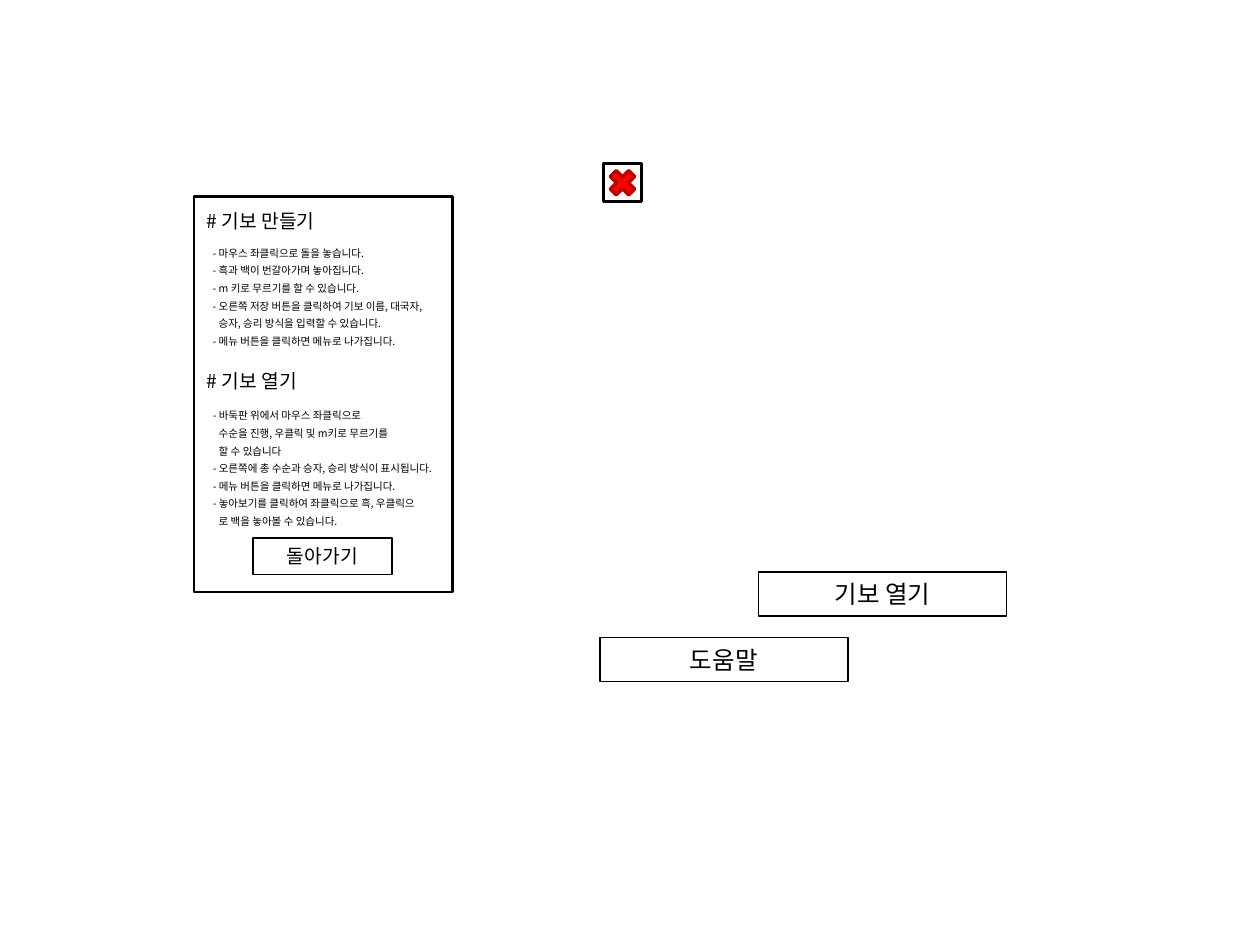
"""Build the help panel and menu buttons of a Go game record program."""
from dataclasses import dataclass

import lxml.etree
import pptx
import pptx.dml.color
import pptx.enum.shapes
import pptx.enum.text
import pptx.oxml.ns
import pptx.util

Pt = pptx.util.Pt
Shapes = pptx.enum.shapes.MSO_SHAPE
Align = pptx.enum.text.PP_ALIGN
BLACK = pptx.dml.color.RGBColor(0x00, 0x00, 0x00)
RED = pptx.dml.color.RGBColor(0xFF, 0x00, 0x00)
DARK_RED = pptx.dml.color.RGBColor(0xC0, 0x00, 0x00)
FONT = "Noto Sans CJK KR"
PANEL_LEFT = 110.9
HEADING_HEIGHT = 20.9
CONTINUATION_INDENT = 3.4


@dataclass(frozen=True)
class Box:
    """Position and size in points."""
    left: float
    top: float
    width: float
    height: float

    def lengths(self) -> tuple:
        """Return the four lengths for a new shape."""
        return Pt(self.left), Pt(self.top), Pt(self.width), Pt(self.height)


@dataclass(frozen=True)
class Button:
    """A labelled menu button."""
    label: str
    box: Box
    size: float


@dataclass(frozen=True)
class Section:
    """A help heading with its instructions, each a tuple of lines."""
    heading: str
    heading_box: Box
    instructions: tuple
    body_box: Box


SECTIONS = (
    Section(
        "# 기보 만들기", Box(PANEL_LEFT, 115.9, 79.9, HEADING_HEIGHT),
        (
            ("- 마우스 좌클릭으로 돌을 놓습니다.",),
            ("- 흑과 백이 번갈아가며 놓아집니다.",),
            ("- m 키로 무르기를 할 수 있습니다.",),
            ("- 오른쪽 저장 버튼을 클릭하여 기보 이름, 대국자,",
             "승자, 승리 방식을 입력할 수 있습니다."),
            ("- 메뉴 버튼을 클릭하면 메뉴로 나가집니다.",),
        ),
        Box(114.5, 134.6, 141.8, 67)),
    Section(
        "# 기보 열기", Box(PANEL_LEFT, 207.4, 69.1, HEADING_HEIGHT),
        (
            ("- 바둑판 위에서 마우스 좌클릭으로",
             "수순을 진행, 우클릭 및 m키로 무르기를",
             "할 수 있습니다"),
            ("- 오른쪽에 총 수순과 승자, 승리 방식이 표시됩니다.",),
            ("- 메뉴 버튼을 클릭하면 메뉴로 나가집니다.",),
            ("- 놓아보기를 클릭하여 좌클릭으로 흑, 우클릭으",
             "로 백을 놓아볼 수 있습니다."),
        ),
        Box(114.5, 227.5, 147.6, 77.8)),
)
BUTTONS = (
    Button("돌아가기", Box(144.7, 307.4, 79.2, 20.9), 11),
    Button("기보 열기", Box(433.4, 326.9, 141.8, 25.2), 14),
    Button("도움말", Box(342.7, 364.3, 141.8, 25.2), 14),
)


def add_outline(slide, kind, box: Box, width: float, line=BLACK, fill=None):
    """Add an outlined preset shape, filled only when a colour is given."""
    outline = slide.shapes.add_shape(kind, *box.lengths())
    outline.shadow.inherit = False
    if fill is None:
        outline.fill.background()
    else:
        outline.fill.solid()
        outline.fill.fore_color.rgb = fill
    outline.line.color.rgb = line
    outline.line.width = Pt(width)
    return outline


def style_text(text_frame, size: float, wrap: bool) -> None:
    """Set wrapping, fitting, font, size and colour of a text frame."""
    text_frame.word_wrap = wrap
    text_frame.auto_size = pptx.enum.text.MSO_AUTO_SIZE.SHAPE_TO_FIT_TEXT
    for paragraph in text_frame.paragraphs:
        for run in paragraph.runs:
            run.font.size = Pt(size)
            run.font.color.rgb = BLACK
            run.font.name = FONT
            lxml.etree.SubElement(
                run.font._element, pptx.oxml.ns.qn("a:ea"), typeface=FONT)


def add_section(slide, section: Section) -> None:
    """Add a heading and the instructions below it."""
    heading = slide.shapes.add_textbox(*section.heading_box.lengths())
    heading.text_frame.text = section.heading
    style_text(heading.text_frame, 11, False)

    body = slide.shapes.add_textbox(*section.body_box.lengths()).text_frame
    lines = [line for lines in section.instructions for line in lines]
    body.text = "\n".join(lines)
    for paragraph in body.paragraphs:
        paragraph.line_spacing = 1.4
        if not paragraph.text.startswith("-"):
            properties = paragraph._p.get_or_add_pPr()
            properties.set("marL", str(Pt(CONTINUATION_INDENT)))
    style_text(body, 6, True)


def add_button(slide, button: Button) -> None:
    """Add a menu button with a centred label."""
    outline = add_outline(slide, Shapes.RECTANGLE, button.box, 1)
    outline.text_frame.text = button.label
    outline.text_frame.paragraphs[0].alignment = Align.CENTER
    style_text(outline.text_frame, button.size, True)


def main() -> None:
    """Draw the slide and save it."""
    presentation = pptx.Presentation()
    presentation.slide_width = Pt(720)
    presentation.slide_height = Pt(540)
    slide = presentation.slides.add_slide(presentation.slide_layouts[6])

    add_outline(slide, Shapes.RECTANGLE,
                Box(PANEL_LEFT, 112.3, 147.6, 226.1), 1.5)
    for section in SECTIONS:
        add_section(slide, section)
    for button in BUTTONS:
        add_button(slide, button)
    add_outline(slide, Shapes.MATH_MULTIPLY,
                Box(345.6, 94.3, 20.2, 20.2), 2, DARK_RED, RED)
    add_outline(slide, Shapes.RECTANGLE, Box(344.9, 93.6, 21.6, 21.6), 1.5)
    presentation.save("out.pptx")


main()
